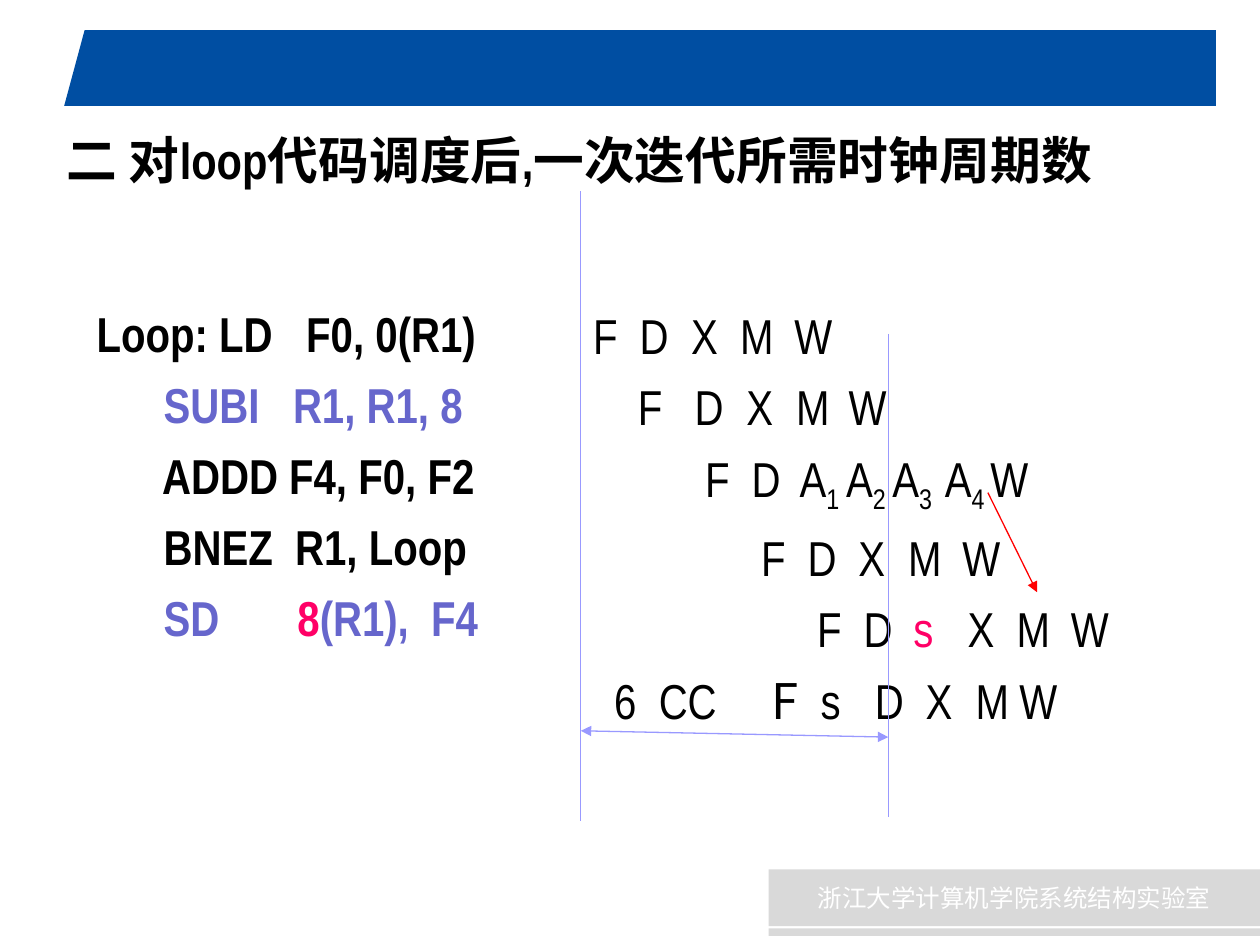
from dataclasses import dataclass
from typing import NamedTuple, Optional

import lxml.etree
import pptx
import pptx.dml.color
import pptx.enum.shapes
import pptx.enum.text
import pptx.oxml.ns
import pptx.util

Pt = pptx.util.Pt
qn = pptx.oxml.ns.qn
SHAPES = pptx.enum.shapes.MSO_SHAPE


@dataclass(frozen=True)
class Theme:
    banner: str = "004EA2"
    footer: str = "D9D9D9"
    white: str = "FFFFFF"
    text: str = "000000"
    moved: str = "6666CC"
    accent: str = "FF0066"
    guide: str = "9999FF"
    dependency: str = "FF0000"
    narrow: str = "Arial Narrow"
    latin: str = "Arial"
    chinese: str = "Noto Sans CJK SC"
    title_size: float = 29
    body_size: float = 28
    footer_size: float = 14
    row_gap: float = 7
    line_width: float = 0.75


THEME = Theme()


class Box(NamedTuple):
    left: float
    top: float
    width: float
    height: float


class Span(NamedTuple):
    text: str
    color: str = THEME.text
    font: str = THEME.narrow
    size: float = THEME.body_size
    bold: bool = False
    subscript: bool = False


class Stage(NamedTuple):
    """A pipeline stage, placed by its distance from the left text edge."""
    offset: float
    name: str
    index: str = ""
    color: str = THEME.text
    font: str = THEME.narrow


class Line(NamedTuple):
    start: tuple[float, float]
    end: tuple[float, float]
    color: str = THEME.guide
    head: bool = False
    tail: bool = False


def rgb(color: str) -> pptx.dml.color.RGBColor:
    return pptx.dml.color.RGBColor.from_string(color)


def stages(names: str, *offsets: float) -> list[Stage]:
    return [Stage(offset, name) for offset, name in zip(offsets, names.split())]


def code(text: str, color: str = THEME.text) -> Span:
    return Span(text, color, bold=True)


BANNER = [
    (SHAPES.TRAPEZOID, Box(36.7, 17.3, 292.3, 43.2)),
    (SHAPES.RECTANGLE, Box(275, 17.3, 419.8, 43.2)),
    (SHAPES.RECTANGLE, Box(349.2, 56.9, 345.6, 3.6)),
]
FOOTER = Box(439.2, 496.8, 280.8, 32.4)
FOOTER_RULE = Box(439.2, 530.6, 280.8, 4.3)

TITLE = [
    Span("二 对", font=THEME.latin, size=THEME.title_size, bold=True),
    Span("loop代码调度后,", size=THEME.title_size, bold=True),
    Span("一次迭代所需时钟周期数", font=THEME.latin, size=THEME.title_size, bold=True),
]

CODE = [
    [code("Loop: LD   F0, 0(R1)")],
    [code("      SUBI   R1, R1, 8", THEME.moved)],
    [code("      ADDD F4, F0, F2")],
    [code("      BNEZ  R1, Loop")],
    [code("      SD       ", THEME.moved), code("8", THEME.accent),
     code("(R1),  F4", THEME.moved)],
]

PIPELINE = [
    stages("F D X M W", 0, 26.5, 56, 84, 115),
    stages("F D X M W", 25.5, 58, 87.5, 116, 146),
    stages("F D", 64, 90.5)
    + [Stage(offset, "A", str(number))
       for number, offset in enumerate((118, 144.5, 171, 201), start=1)]
    + stages("W", 227),
    stages("F D X M W", 96, 122.5, 151.5, 180, 211),
    stages("F D", 128, 154.5) + [Stage(183, "s", color=THEME.accent)]
    + stages("X M W", 214, 242, 273),
    stages("6 CC", 12, 37.5) + [Stage(102, "F", font=THEME.chinese)]
    + stages("s D X M W", 130, 161, 190, 218.5, 243.5),
]

LINES = [
    Line((507.6, 190.8), (507.6, 466.6)),
    Line((331.9, 109.4), (331.9, 469.4)),
    Line((331.9, 417.6), (507.6, 421.2), head=True, tail=True),
    Line((564.5, 281.5), (592.6, 338.4), THEME.dependency, tail=True),
]


def add_block(slide, kind, box: Box, color: str):
    shape = slide.shapes.add_shape(kind, *map(Pt, box))
    shape.shadow.inherit = False
    shape.fill.solid()
    shape.fill.fore_color.rgb = rgb(color)
    shape.line.fill.background()
    return shape


def add_text_box(slide, box: Box, top_inset: float):
    frame = slide.shapes.add_textbox(*map(Pt, box)).text_frame
    frame.word_wrap = True
    frame.margin_top = Pt(top_inset)
    return frame


def add_span(paragraph, span: Span) -> None:
    run = paragraph.add_run()
    run.text = span.text
    run.font.name = span.font
    run.font.size = Pt(span.size)
    run.font.bold = span.bold
    run.font.color.rgb = rgb(span.color)
    properties = run.font._element
    lxml.etree.SubElement(properties, qn("a:ea"), typeface=THEME.chinese)
    if span.subscript:
        properties.set("baseline", "-25000")


def add_row(frame, number: int):
    if number == 0:
        return frame.paragraphs[0]
    paragraph = frame.add_paragraph()
    paragraph.space_before = Pt(THEME.row_gap)
    return paragraph


def add_stage_row(paragraph, row: list[Stage]) -> None:
    """Place every stage of one instruction at its own tab stop."""
    tabs = lxml.etree.SubElement(paragraph._p.get_or_add_pPr(), qn("a:tabLst"))
    for stage in row:
        tab = ""
        if stage.offset:
            lxml.etree.SubElement(tabs, qn("a:tab"), pos=str(int(Pt(stage.offset))), algn="l")
            tab = "\t"
        add_span(paragraph, Span(tab + stage.name, stage.color, stage.font))
        if stage.index:
            add_span(paragraph, Span(stage.index, subscript=True))
    if any(stage.font != THEME.narrow for stage in row):
        paragraph.line_spacing = Pt(34)


def add_line(slide, line: Line) -> None:
    connector = slide.shapes.add_connector(
        pptx.enum.shapes.MSO_CONNECTOR.STRAIGHT, *map(Pt, line.start + line.end))
    connector.line.color.rgb = rgb(line.color)
    connector.line.width = Pt(THEME.line_width)
    outline = connector.line._get_or_add_ln()
    for tag, shown in (("a:headEnd", line.head), ("a:tailEnd", line.tail)):
        if shown:
            lxml.etree.SubElement(outline, qn(tag), type="triangle")
    lxml.etree.SubElement(connector._element.spPr, qn("a:effectLst"))


def main() -> None:
    presentation = pptx.Presentation()
    presentation.slide_width, presentation.slide_height = Pt(720), Pt(540)
    slide = presentation.slides.add_slide(presentation.slide_layouts[6])

    for kind, box in BANNER:
        shape = add_block(slide, kind, box, THEME.banner)
        if kind == SHAPES.TRAPEZOID:
            shape.adjustments[0] = 0.27
    footer = add_block(slide, SHAPES.RECTANGLE, FOOTER, THEME.footer).text_frame
    footer.vertical_anchor = pptx.enum.text.MSO_ANCHOR.MIDDLE
    footer.paragraphs[0].alignment = pptx.enum.text.PP_ALIGN.CENTER
    add_span(footer.paragraphs[0], Span("浙江大学计算机学院系统结构实验室", THEME.white,
                                        THEME.chinese, THEME.footer_size))
    add_block(slide, SHAPES.RECTANGLE, FOOTER_RULE, THEME.footer)

    title = add_text_box(slide, Box(31, 73.4, 671.8, 59.8), 0)
    for span in TITLE:
        add_span(title.paragraphs[0], span)
    listing = add_text_box(slide, Box(48.2, 166.3, 249.8, 307.4), THEME.row_gap)
    for number, spans in enumerate(CODE):
        paragraph = add_row(listing, number)
        for span in spans:
            add_span(paragraph, span)
    pipeline = add_text_box(slide, Box(331.9, 167.8, 362.9, 290.9), THEME.row_gap)
    for number, row in enumerate(PIPELINE):
        add_stage_row(add_row(pipeline, number), row)
    for line in LINES:
        add_line(slide, line)
    presentation.save("out.pptx")


if __name__ == "__main__":
    main()
